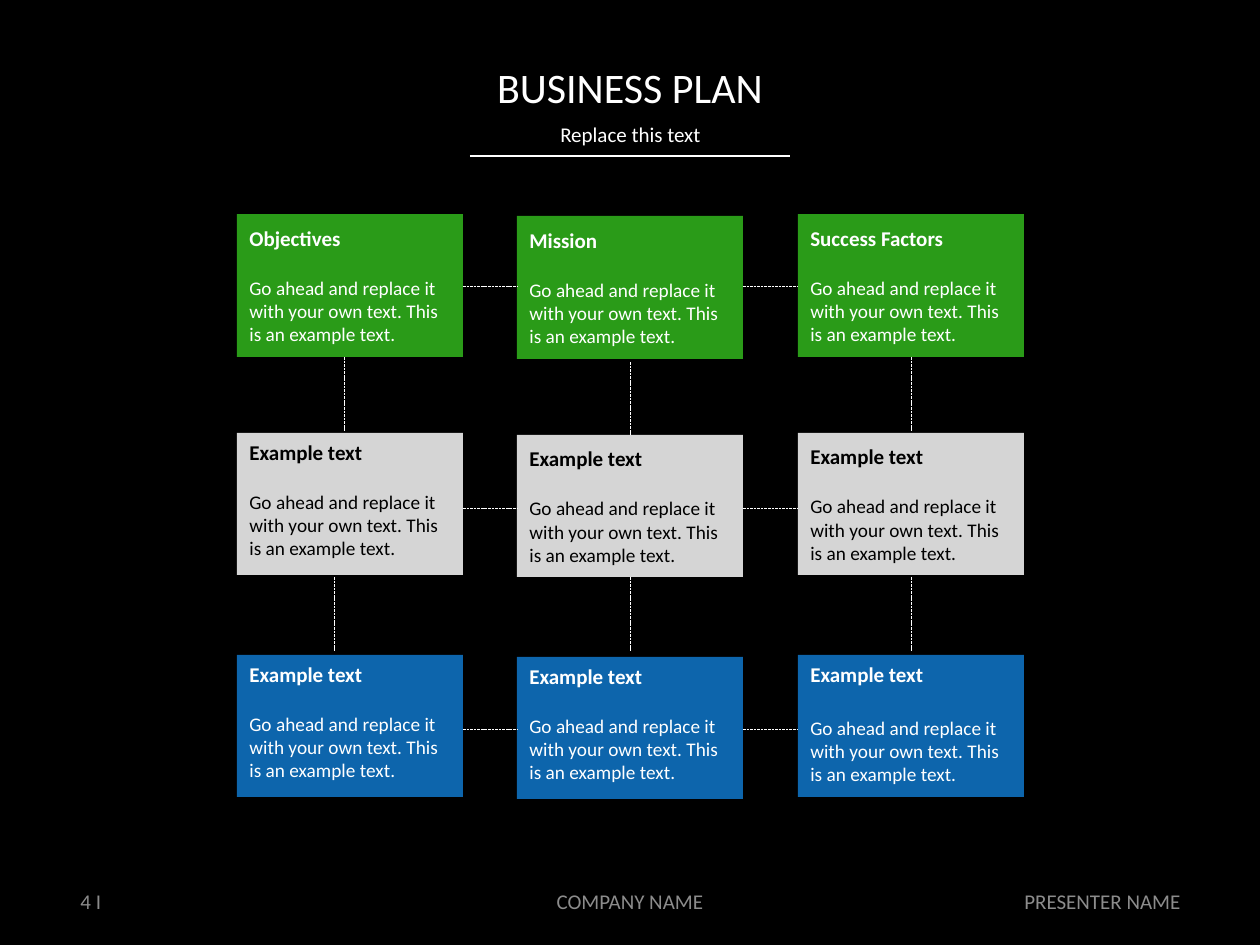
from dataclasses import dataclass

from lxml.etree import SubElement
from pptx import Presentation
from pptx.dml.color import RGBColor
from pptx.enum.dml import MSO_LINE as Dash
from pptx.enum.shapes import MSO_CONNECTOR as Conn, MSO_SHAPE as Kind
from pptx.enum.text import MSO_ANCHOR as Anchor, MSO_AUTO_SIZE as Fit, PP_ALIGN as Align
from pptx.oxml.ns import qn
from pptx.util import Pt

PX = 914400 // 126
HEX = {
    "black": "000000", "white": "FFFFFF", "gray": "8C8C8C",
    "green": "2A9B18", "silver": "D5D5D5", "blue": "0D65AC",
}
BODY = "Go ahead and replace it with your own text. This is an example text."


@dataclass
class Row:
    top: int
    high: int
    fill: str
    ink: str
    link: int  # height of the links between the cards


@dataclass
class Card:
    row: int
    col: int
    head: str = "Example text"
    anchor: Anchor = Anchor.MIDDLE
    gap: float = 14.6


@dataclass
class Label:
    text: str
    left: int
    top: int
    wide: int
    high: int
    align: Align
    ink: str = "gray"
    anchor: Anchor = Anchor.MIDDLE
    lead: float = 1.0


COLS = [237, 517, 798]
DROP = [0, 2, 0]
WIDE = 226
ROWS = [
    Row(214, 143, "green", "white", 286),
    Row(433, 142, "silver", "black", 508),
    Row(655, 142, "blue", "white", 729),
]
CARDS = [
    Card(0, 0, "Objectives"),
    Card(1, 0, anchor=Anchor.TOP),
    Card(2, 0, anchor=Anchor.TOP),
    Card(0, 1, "Mission"),
    Card(1, 1),
    Card(2, 1, anchor=Anchor.TOP),
    Card(0, 2, "Success Factors"),
    Card(1, 2),
    Card(2, 2, anchor=Anchor.TOP, gap=17),
]
LABELS = [
    Label("Replace this text", 87, 120, 1087, 35, Align.CENTER, "white", Anchor.TOP, 0.8),
    Label("PRESENTER NAME", 910, 876, 283, 50, Align.RIGHT),
    Label("COMPANY NAME", 417, 876, 426, 50, Align.CENTER),
    Label("4 I", 68, 876, 283, 50, Align.LEFT),
]
# x, top and bottom of each link between the rows
DROPS = [
    (344, 357, 431), (631, 362, 435), (911, 357, 431),
    (334, 577, 651), (631, 577, 651), (911, 577, 651),
]


def tint(name: str) -> RGBColor:
    return RGBColor.from_string(HEX[name])


def add_run(para, text: str, size: int, ink: str, bold: bool = False) -> None:
    run = para.add_run()
    run.text = text
    font = run.font
    font.name, font.size, font.bold = "Calibri", Pt(size), bold
    font.color.rgb = tint(ink)


def add_line(slide, x1: int, y1: int, x2: int, y2: int, dash: bool = True) -> None:
    line = slide.shapes.add_connector(Conn.STRAIGHT, x1 * PX, y1 * PX, x2 * PX, y2 * PX)
    line.line.color.rgb = tint("white")
    line.line.width = Pt(0.5 if dash else 1)
    if dash:
        line.line.dash_style = Dash.SQUARE_DOT
    SubElement(line._element.spPr, qn("a:effectLst"))


def add_title(slide, text: str) -> None:
    title = slide.shapes.title
    title.left, title.top, title.width, title.height = 87 * PX, 55 * PX, 1086 * PX, 63 * PX
    frame = title.text_frame
    frame.auto_size = Fit.NONE
    frame.vertical_anchor = Anchor.MIDDLE
    para = frame.paragraphs[0]
    para.alignment = Align.CENTER
    add_run(para, text, 24, "white")


def add_label(slide, item: Label) -> None:
    box = slide.shapes.add_textbox(item.left * PX, item.top * PX, item.wide * PX, item.high * PX)
    frame = box.text_frame
    frame.word_wrap = True
    frame.vertical_anchor = item.anchor
    para = frame.paragraphs[0]
    para.alignment = item.align
    para.line_spacing = item.lead
    add_run(para, item.text, 12, item.ink)


def add_card(slide, card: Card) -> None:
    row = ROWS[card.row]
    top = row.top + DROP[card.col]
    box = slide.shapes.add_shape(
        Kind.RECTANGLE, COLS[card.col] * PX, top * PX, WIDE * PX, row.high * PX)
    box.shadow.inherit = False
    box.fill.solid()
    box.fill.fore_color.rgb = tint(row.fill)
    box.line.fill.background()
    frame = box.text_frame
    frame.word_wrap = True
    frame.vertical_anchor = card.anchor
    head, body = frame.paragraphs[0], frame.add_paragraph()
    head.alignment = body.alignment = Align.LEFT
    body.space_before = Pt(card.gap)
    add_run(head, card.head, 12, row.ink, True)
    add_run(body, BODY, 11, row.ink)


def main() -> None:
    deck = Presentation()
    deck.slide_width, deck.slide_height = 1260 * PX, 945 * PX
    slide = deck.slides.add_slide(deck.slide_layouts[5])
    back = slide.background.fill
    back.solid()
    back.fore_color.rgb = tint("black")

    add_title(slide, "BUSINESS PLAN")
    add_line(slide, 470, 156, 790, 156, dash=False)
    for item in LABELS:
        add_label(slide, item)
    for card in CARDS:
        add_card(slide, card)
    for left, right in zip(COLS, COLS[1:]):
        for row in ROWS:
            add_line(slide, left + WIDE, row.link, right, row.link)
    for x, top, foot in DROPS:
        add_line(slide, x, top, x, foot)
    deck.save("out.pptx")


if __name__ == "__main__":
    main()
